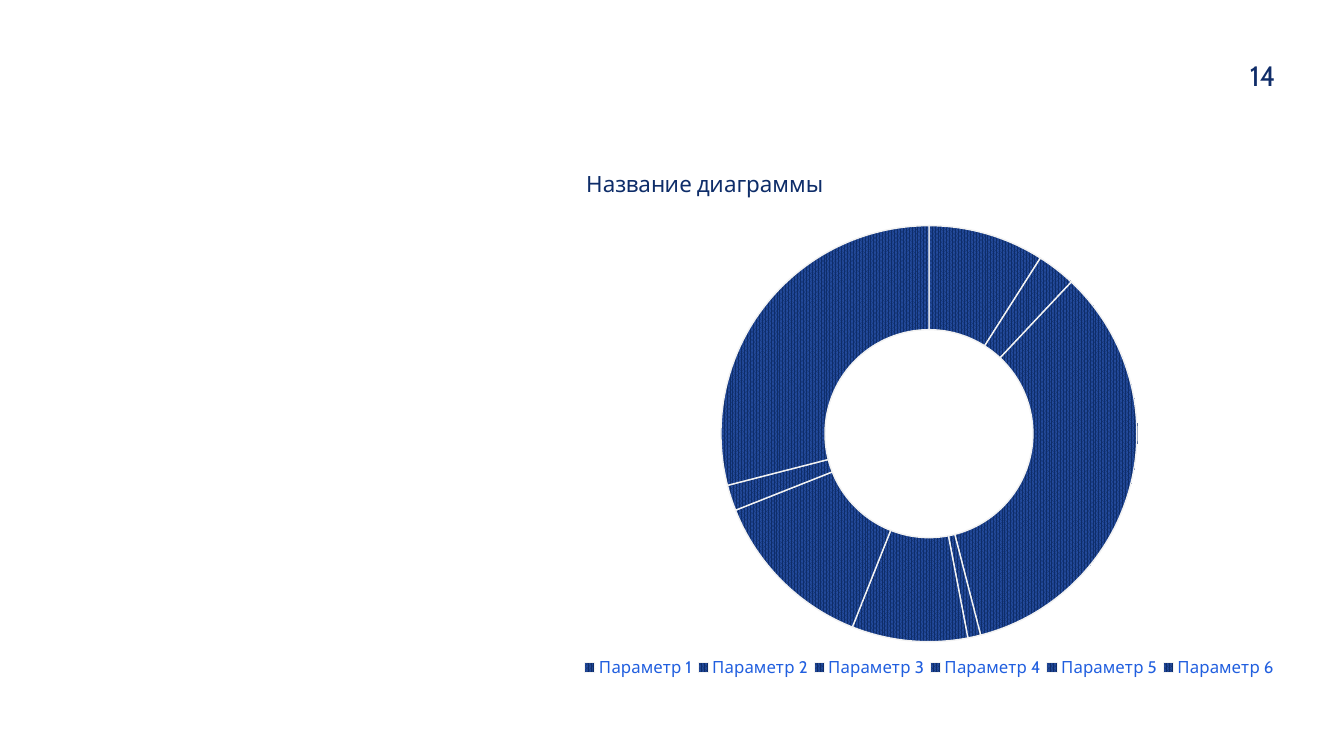
from lxml.etree import SubElement
from pptx import Presentation
from pptx.chart.data import CategoryChartData
from pptx.dml.color import RGBColor
from pptx.enum.chart import XL_CHART_TYPE, XL_LEGEND_POSITION
from pptx.enum.dml import MSO_PATTERN
from pptx.oxml import parse_xml
from pptx.oxml.ns import nsdecls, qn
from pptx.util import Cm, Pt

FONT = "Cabin"
COLORS = {
    "number": "102D69",
    "title": "0E2D69",
    "legend": "215FDF",
    "text": "0F2C68",
    "pattern_front": "0E2D69",
    "pattern_back": "234A9B",
    "border": "F2F2F2",
}
VALUES = (9, 3, 34, 1, 9, 13, 2, 29)
LEGEND_COUNT = 6
HOLE_SIZE = 50


def color(name):
    return RGBColor.from_string(COLORS[name])


def layout_xml(inner=False, **fractions):
    """Manual chart layout; x, y, w and h are fractions of the chart."""
    parts = '<c:layoutTarget val="inner"/>' if inner else ""
    parts += "".join(f'<c:{key}Mode val="edge"/>' for key in "xy")
    parts += "".join(f'<c:{key} val="{value}"/>' for key, value in fractions.items())
    return parse_xml(
        f'<c:layout {nsdecls("c")}><c:manualLayout>{parts}</c:manualLayout></c:layout>'
    )


class SlideBuilder:
    def __init__(self, slide):
        self.slide = slide

    def style(self, font, size, color_name):
        font.name = FONT
        font.size = Pt(size)
        font.bold = False
        font.color.rgb = color(color_name)

    def text(self, text, box, size, color_name):
        shape = self.slide.shapes.add_textbox(*map(Cm, box))
        frame = shape.text_frame
        frame.word_wrap = True
        frame.margin_left = frame.margin_right = 0
        frame.margin_top = frame.margin_bottom = 0
        paragraph = frame.paragraphs[0]
        paragraph.text = text
        self.style(paragraph.font, size, color_name)

    def doughnut(self, title, values, box):
        data = CategoryChartData()
        data.categories = [f"Параметр {i}" for i in range(1, len(values) + 1)]
        data.add_series("Series 1", values)
        chart = self.slide.shapes.add_chart(
            XL_CHART_TYPE.DOUGHNUT, *map(Cm, box), data
        ).chart
        self.style(chart.font, 10, "text")
        self.chart_title(chart, title)
        self.chart_legend(chart, len(values))
        self.chart_ring(chart, len(values))

    def chart_title(self, chart, title):
        chart.has_title = True
        paragraph = chart.chart_title.text_frame.paragraphs[0]
        paragraph.text = title
        self.style(paragraph.font, 16, "title")
        element = chart.chart_title._element
        for old in element.findall(qn("c:layout")):
            element.remove(old)
        element.find(qn("c:tx")).addnext(layout_xml(x=0.005, y=0.01))

    def chart_legend(self, chart, count):
        chart.has_legend = True
        legend = chart.legend
        legend.position = XL_LEGEND_POSITION.BOTTOM
        legend.include_in_layout = False
        self.style(legend.font, 12, "legend")
        element = legend._element
        for old in element.findall(qn("c:layout")):
            element.remove(old)
        last = element.find(qn("c:legendPos"))
        # Entries past the sixth are hidden
        for index in range(LEGEND_COUNT, count):
            entry = SubElement(element, qn("c:legendEntry"))
            SubElement(entry, qn("c:idx")).set("val", str(index))
            SubElement(entry, qn("c:delete")).set("val", "1")
            last.addnext(entry)
            last = entry
        last.addnext(layout_xml(x=0.0, y=0.93, w=1.0, h=0.05))

    def chart_ring(self, chart, count):
        plot = chart.plots[0]
        plot.vary_by_categories = True
        plot._element.find(qn("c:holeSize")).set("val", str(HOLE_SIZE))
        for index in range(count):
            point_format = plot.series[0].points[index].format
            fill = point_format.fill
            fill.patterned()
            fill.pattern = MSO_PATTERN.PERCENT_80
            fill.fore_color.rgb = color("pattern_front")
            fill.back_color.rgb = color("pattern_back")
            point_format.line.color.rgb = color("border")
            point_format.line.width = Pt(1)
        area = plot._element.getparent()
        for old in area.findall(qn("c:layout")):
            area.remove(old)
        area.insert(0, layout_xml(inner=True, x=0.203, y=0.125, w=0.593, h=0.782))


def main():
    presentation = Presentation()
    presentation.slide_width = Cm(33.87)
    presentation.slide_height = Cm(19.05)
    builder = SlideBuilder(presentation.slides.add_slide(presentation.slide_layouts[6]))

    # Page number
    builder.text("14", (31.5, 1.47, 1.85, 0.86), 20, "number")

    # Doughnut chart
    builder.doughnut("Название диаграммы", VALUES, (14.58, 4.01, 17.68, 13.41))

    presentation.save("out.pptx")


if __name__ == "__main__":
    main()
